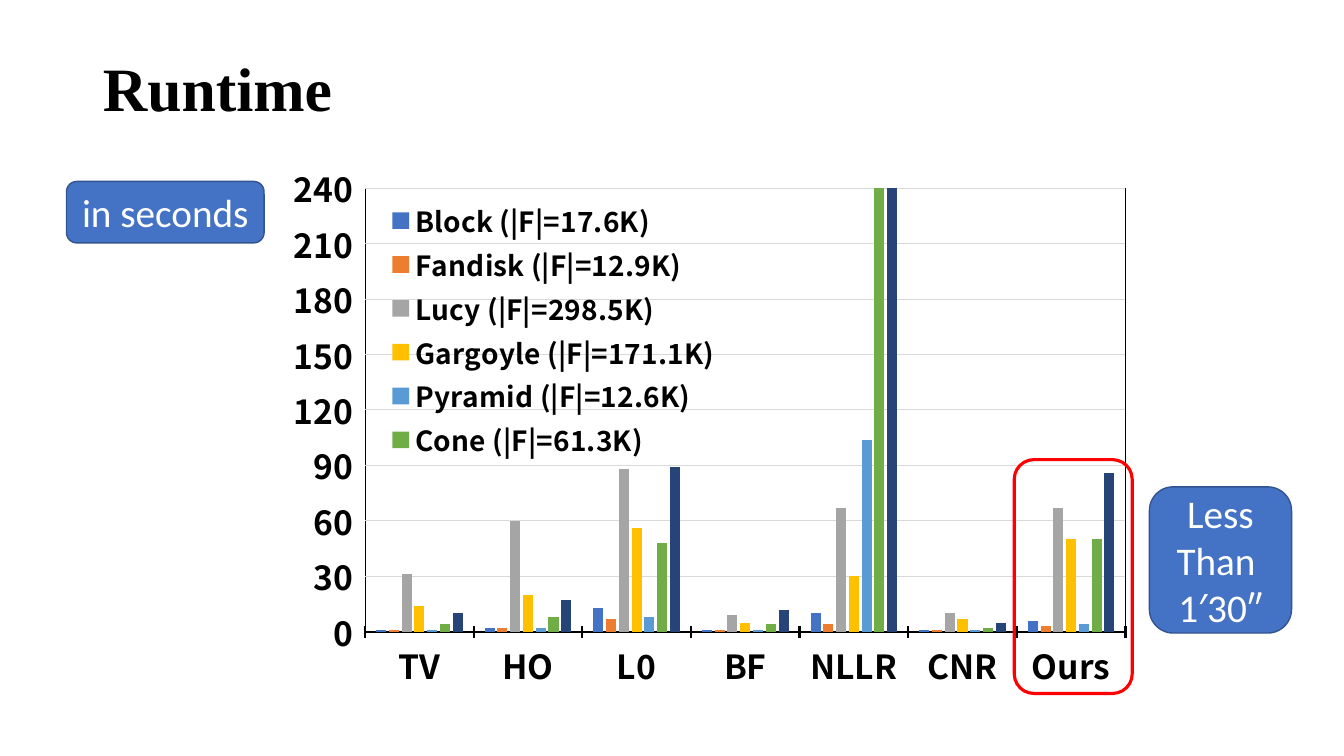
from lxml.etree import fromstring
from pptx import Presentation
from pptx.chart.data import CategoryChartData
from pptx.dml.color import RGBColor
from pptx.enum.chart import XL_CHART_TYPE, XL_LEGEND_POSITION, XL_TICK_MARK
from pptx.enum.shapes import MSO_SHAPE
from pptx.enum.text import MSO_ANCHOR, MSO_AUTO_SIZE, PP_ALIGN
from pptx.util import Inches, Pt

BLACK = RGBColor(0x00, 0x00, 0x00)
WHITE = RGBColor(0xFF, 0xFF, 0xFF)
RED = RGBColor(0xFF, 0x00, 0x00)
BLUE = RGBColor(0x44, 0x72, 0xC4)
OUTLINE = RGBColor(0x32, 0x54, 0x91)
GRID = RGBColor(0xD9, 0xD9, 0xD9)
ORANGE = RGBColor(0xED, 0x7D, 0x31)
GRAY = RGBColor(0xA5, 0xA5, 0xA5)
GOLD = RGBColor(0xFF, 0xC0, 0x00)
SKY = RGBColor(0x5B, 0x9B, 0xD5)
GREEN = RGBColor(0x70, 0xAD, 0x47)
NAVY = RGBColor(0x26, 0x44, 0x78)

METHODS = ["TV", "HO", "L0", "BF", "NLLR", "CNR", "Ours"]
RUNTIMES = [
    ("Block (|F|=17.6K)", BLUE, [1, 2, 13, 1, 10, 1, 6]),
    ("Fandisk (|F|=12.9K)", ORANGE, [1, 2, 7, 1, 4, 1, 3]),
    ("Lucy (|F|=298.5K)", GRAY, [31, 60, 88, 9, 67, 10, 67]),
    ("Gargoyle (|F|=171.1K)", GOLD, [14, 20, 56, 5, 30, 7, 50]),
    ("Pyramid (|F|=12.6K)", SKY, [1, 2, 8, 1, 104, 1, 4]),
    ("Cone (|F|=61.3K)", GREEN, [4, 8, 48, 4, 313, 2, 50]),
    ("", NAVY, [10, 17, 89, 12, 409, 5, 86]),
]
CHART_NS = "http://schemas.openxmlformats.org/drawingml/2006/chart"
DRAWING_NS = "http://schemas.openxmlformats.org/drawingml/2006/main"


def chart_xml(tag, content):
    """Build one chart element from its tag and inner markup."""
    return fromstring(f'<c:{tag} xmlns:c="{CHART_NS}" xmlns:a="{DRAWING_NS}">{content}</c:{tag}>')


def manual_layout(left, top, width, height, target=""):
    """Build a manual layout in fractions of the chart area."""
    return chart_xml("layout", f'<c:manualLayout>{target}<c:xMode val="edge"/><c:yMode val="edge"/>'
                     f'<c:x val="{left}"/><c:y val="{top}"/><c:w val="{width}"/><c:h val="{height}"/>'
                     "</c:manualLayout>")


def format_font(font, name, size, color, bold=False):
    """Set the face, size, colour and weight of a font."""
    font.name = name
    font.size = Pt(size)
    font.color.rgb = color
    font.bold = bold


def write_text(frame, text, *, name, size, color, bold=False, align=PP_ALIGN.LEFT, spacing=1.0):
    """Write each line of text as a formatted paragraph."""
    frame.word_wrap = True
    frame.auto_size = MSO_AUTO_SIZE.NONE
    frame.vertical_anchor = MSO_ANCHOR.MIDDLE
    for index, line in enumerate(text.split("\n")):
        para = frame.add_paragraph() if index else frame.paragraphs[0]
        para.alignment = align
        para.line_spacing = spacing
        span = para.add_run()
        span.text = line
        format_font(span.font, name, size, color, bold)


class RuntimePage:
    """Hold the style and the slide being drawn."""

    title_font = "Times New Roman"
    label_font = "Calibri"
    chart_font = "Noto Sans CJK SC"

    def __init__(self, deck):
        """Add a title-only slide to the deck."""
        self.page = deck.slides.add_slide(deck.slide_layouts[5])

    def title(self, text, left, top, width, height):
        """Place and fill the title placeholder."""
        box = self.page.shapes.title
        box.left, box.top, box.width, box.height = map(Inches, (left, top, width, height))
        write_text(box.text_frame, text, name=self.title_font, size=44,
                   color=BLACK, bold=True, spacing=0.9)

    def rounded_box(self, left, top, width, height, line, weight, fill=None):
        """Draw a rounded rectangle, hollow unless a fill is given."""
        box = self.page.shapes.add_shape(MSO_SHAPE.ROUNDED_RECTANGLE,
                                         *map(Inches, (left, top, width, height)))
        box.shadow.inherit = False
        if fill is None:
            box.fill.background()
        else:
            box.fill.solid()
            box.fill.fore_color.rgb = fill
        box.line.color.rgb = line
        box.line.width = Pt(weight)
        return box

    def label(self, text, left, top, width, height):
        """Draw a blue rounded label with centred white text."""
        box = self.rounded_box(left, top, width, height, OUTLINE, 1, BLUE)
        write_text(box.text_frame, text, name=self.label_font, size=28,
                   color=WHITE, align=PP_ALIGN.CENTER)

    def column_chart(self, left, top, width, height):
        """Draw the runtime of every method on every model."""
        data = CategoryChartData()
        data.categories = METHODS
        for name, _, values in RUNTIMES:
            data.add_series(name, values)
        chart = self.page.shapes.add_chart(XL_CHART_TYPE.COLUMN_CLUSTERED,
                                           *map(Inches, (left, top, width, height)), data).chart
        chart.has_title = False
        format_font(chart.font, self.chart_font, 24, BLACK, True)
        plot = chart.plots[0]
        plot.vary_by_categories = False
        plot.gap_width = 219
        plot.overlap = -27
        for series, (_, color, _) in zip(plot.series, RUNTIMES):
            series.invert_if_negative = False
            series.format.fill.solid()
            series.format.fill.fore_color.rgb = color
        self.style_axes(chart)
        self.style_legend(chart)
        plot_area = chart._chartSpace.xpath("c:chart/c:plotArea")[0]
        for layout in plot_area.xpath("c:layout"):
            plot_area.remove(layout)
        plot_area.insert(0, manual_layout(0.115, 0.033, 0.867, 0.849,
                                          '<c:layoutTarget val="inner"/>'))
        plot_area.append(chart_xml("spPr", '<a:noFill/><a:ln w="9525"><a:solidFill>'
                                   f'<a:srgbClr val="{BLACK}"/></a:solidFill></a:ln>'))

    def style_axes(self, chart):
        """Format both axes and the gridlines."""
        methods, seconds = chart.category_axis, chart.value_axis
        for axis in (methods, seconds):
            format_font(axis.tick_labels.font, self.chart_font, 24, BLACK, True)
            axis.minor_tick_mark = XL_TICK_MARK.NONE
        methods.major_tick_mark = XL_TICK_MARK.CROSS
        methods.format.line.color.rgb = BLACK
        methods.format.line.width = Pt(1.5)
        seconds.major_tick_mark = XL_TICK_MARK.NONE
        seconds.format.line.fill.background()
        seconds.minimum_scale = 0
        seconds.maximum_scale = 240
        seconds.major_unit = 30
        seconds.tick_labels.number_format = r"#,##0_);[Red]\(#,##0\)"
        seconds.tick_labels.number_format_is_linked = False
        seconds.major_gridlines.format.line.color.rgb = GRID
        seconds.major_gridlines.format.line.width = Pt(0.75)

    def style_legend(self, chart):
        """Lay the legend of the named series over the plot."""
        chart.has_legend = True
        legend = chart.legend
        legend.position = XL_LEGEND_POSITION.CORNER
        legend.include_in_layout = True
        format_font(legend.font, self.chart_font, 20, BLACK, True)
        position = chart._chartSpace.xpath("c:chart/c:legend/c:legendPos")[0]
        for layout in position.getparent().xpath("c:layout"):
            position.getparent().remove(layout)
        position.addnext(manual_layout(0.13, 0.05, 0.4, 0.51))
        for index, (name, _, _) in enumerate(RUNTIMES):
            if not name:
                position.addnext(chart_xml("legendEntry", f'<c:idx val="{index}"/>'
                                           '<c:delete val="1"/>'))


def main():
    """Build the runtime slide and save it."""
    deck = Presentation()
    deck.slide_width, deck.slide_height = Inches(13.33), Inches(7.5)
    page = RuntimePage(deck)
    page.title("Runtime", 0.92, 0.18, 11.5, 1.45)
    page.label("in seconds", 0.66, 1.8, 1.96, 0.61)
    page.column_chart(2.62, 1.63, 8.7, 5.25)
    page.rounded_box(10.06, 4.56, 1.17, 2.32, RED, 2.25)
    page.label("Less\nThan \n1′30″", 11.4, 4.83, 1.41, 1.45)
    deck.save("out.pptx")


if __name__ == "__main__":
    main()
